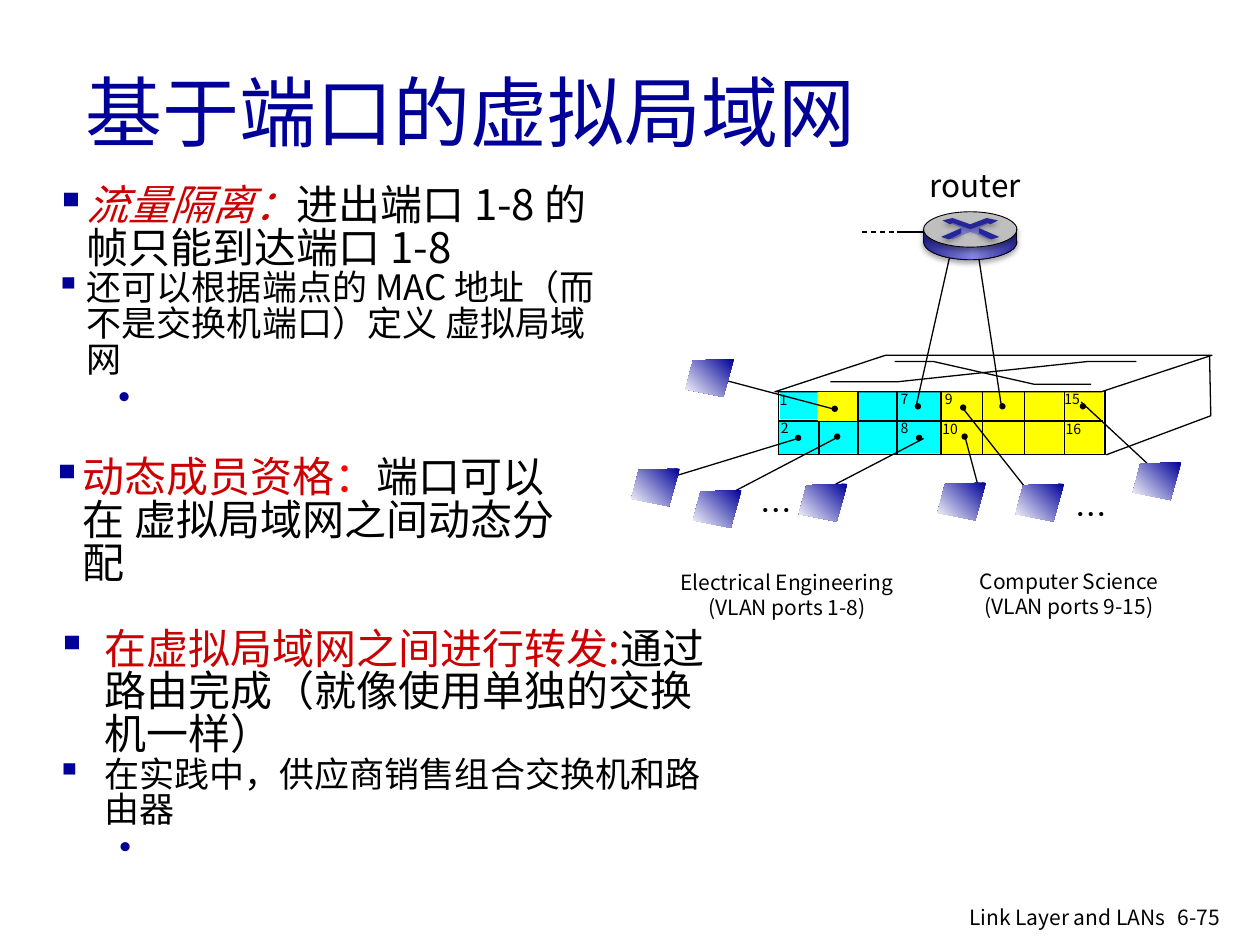
from dataclasses import dataclass

import pptx
import pptx.dml.color
import pptx.enum.dml
import pptx.enum.shapes
import pptx.enum.text
import pptx.oxml.ns
import pptx.util
from lxml import etree

Pt = pptx.util.Pt
qn = pptx.oxml.ns.qn
SHAPE = pptx.enum.shapes.MSO_SHAPE
ALIGN = pptx.enum.text.PP_ALIGN
ANCHOR = pptx.enum.text.MSO_ANCHOR
FONT = "Noto Sans CJK SC"
BLACK, NAVY, RED, CYAN, YELLOW = "000000", "000099", "CC0000", "00FFFF", "FFFF00"
METAL = [(0, "262699"), (53, "8585E0"), (100, "262699")]
Point = tuple[float, float]


@dataclass
class Span:
    text: str
    size: float
    color: str = BLACK
    italic: bool = False


@dataclass
class Bullet:
    spans: list[Span]
    mark: str = "▪"
    margin: float = 18
    hanging: float = 18
    level: int = 0


@dataclass
class Label:
    text: str
    left: float
    top: float
    width: float
    height: float
    size: float
    color: str = BLACK
    align: ALIGN = ALIGN.LEFT
    wrap: bool = False
    anchor: ANCHOR = ANCHOR.TOP


def rgb(value: str):
    return pptx.dml.color.RGBColor.from_string(value)


def style_font(font, size: float, color: str, italic: bool = False) -> None:
    font.size, font.name, font.italic = Pt(size), FONT, italic
    font.color.rgb = rgb(color)
    etree.SubElement(font._element, qn("a:ea"), typeface=FONT)


def set_gradient(shape, stops, angle: float) -> None:
    shape.fill.gradient()
    shape.fill.gradient_angle = angle
    stop_list = shape._element.spPr.find(qn("a:gradFill")).find(qn("a:gsLst"))
    for stop in list(stop_list):
        stop_list.remove(stop)
    for position, color in stops:
        stop = etree.SubElement(stop_list, qn("a:gs"), pos=str(position * 1000))
        etree.SubElement(stop, qn("a:srgbClr"), val=color)


def add_shadow(effects) -> None:
    shadow = etree.SubElement(effects, qn("a:outerShdw"), blurRad=str(Pt(3.1)),
                              dist=str(Pt(1.8)), dir="5400000", rotWithShape="0")
    color = etree.SubElement(shadow, qn("a:srgbClr"), val=BLACK)
    etree.SubElement(color, qn("a:alpha"), val="35000")


def finish(shape, fill=None, line: float = 0, shadow: bool = False, angle: float = 0):
    shape.shadow.inherit = False
    if isinstance(fill, list):
        set_gradient(shape, fill, angle)
    elif fill:
        shape.fill.solid()
        shape.fill.fore_color.rgb = rgb(fill)
    else:
        shape.fill.background()
    if line:
        shape.line.color.rgb = rgb(BLACK)
        shape.line.width = Pt(line)
    else:
        shape.line.fill.background()
    if shadow:
        add_shadow(shape._element.spPr.find(qn("a:effectLst")))
    return shape


def add_preset(page, kind, left: float, top: float, width: float, height: float, **look):
    return finish(page.shapes.add_shape(kind, Pt(left), Pt(top), Pt(width), Pt(height)), **look)


def add_outline(page, points: list[Point], close: bool = True, **look):
    corners = [(Pt(x), Pt(y)) for x, y in points]
    builder = page.shapes.build_freeform(*corners[0], scale=1.0)
    builder.add_line_segments(corners[1:], close=close)
    return finish(builder.convert_to_shape(), **look)


def add_line(page, start: Point, end: Point, weight: float = 0.75,
             dashed: bool = False, shadow: bool = False) -> None:
    line = page.shapes.add_connector(pptx.enum.shapes.MSO_CONNECTOR.STRAIGHT,
                                     *(Pt(value) for value in start + end))
    line.line.color.rgb = rgb(BLACK)
    line.line.width = Pt(weight)
    if dashed:
        line.line.dash_style = pptx.enum.dml.MSO_LINE.DASH
    effects = etree.SubElement(line._element.spPr, qn("a:effectLst"))
    if shadow:
        add_shadow(effects)


def add_label(page, label: Label) -> None:
    box = page.shapes.add_textbox(Pt(label.left), Pt(label.top), Pt(label.width), Pt(label.height))
    frame = box.text_frame
    frame.text = label.text
    frame.word_wrap = label.wrap
    frame.vertical_anchor = label.anchor
    if not label.wrap:
        frame.auto_size = pptx.enum.text.MSO_AUTO_SIZE.SHAPE_TO_FIT_TEXT
    for para in frame.paragraphs:
        para.alignment = label.align
        for run in para.runs:
            style_font(run.font, label.size, label.color)


def add_bullets(page, left: float, top: float, width: float, height: float,
                bullets: list[Bullet]) -> None:
    frame = page.shapes.add_textbox(Pt(left), Pt(top), Pt(width), Pt(height)).text_frame
    frame.word_wrap = True
    for index, bullet in enumerate(bullets):
        para = frame.add_paragraph() if index else frame.paragraphs[0]
        props = para._p.get_or_add_pPr()
        props.set("marL", str(Pt(bullet.margin)))
        props.set("indent", str(Pt(-bullet.hanging)))
        color = etree.SubElement(props, qn("a:buClr"))
        etree.SubElement(color, qn("a:srgbClr"), val=NAVY)
        etree.SubElement(props, qn("a:buChar"), char=bullet.mark)
        para.level = bullet.level
        para.line_spacing = 0.85
        if index:
            para.space_before = Pt(4)
        for span in bullet.spans:
            run = para.add_run()
            run.text = span.text
            style_font(run.font, span.size, span.color, span.italic)


def sub_bullet(text: str) -> Bullet:
    return Bullet([Span(text + "\n", 20)], "•", 53.3, 17.3, 1)


def add_computer(page, left: float, top: float) -> None:
    corners = [(27.7, 0), (4.3, 0.8), (0, 17.3), (21.6, 21.6)]
    add_outline(page, [(left + x, top + y) for x, y in corners],
                fill=[(0, NAVY), (100, "FFFFFF")], angle=225)


def add_switch(page) -> None:
    for color, *area in [(YELLOW, 608.4, 241.2, 22.3, 18), (CYAN, 445.7, 223.9, 21.6, 15.8),
                         (CYAN, 445, 240.5, 23, 19.4), (YELLOW, 607.7, 223.2, 23, 16.6),
                         (YELLOW, 537.8, 223.9, 69.8, 36), (CYAN, 467.3, 223.9, 70.6, 35.3)]:
        add_preset(page, SHAPE.RECTANGLE, *area, fill=color)
    add_preset(page, SHAPE.RECTANGLE, 445, 223.2, 186.5, 36.7, line=0.75)
    add_line(page, (445, 240.5), (630, 240.5))
    lid = add_preset(page, SHAPE.PARALLELOGRAM, 442.8, 203, 249.8, 20.9, fill="FFFFFF", line=0.75)
    lid.adjustments[0] = 3.03
    for points in [[(632.2, 259.9), (691.9, 237.6), (691.2, 203)],
                   [(474.5, 218.2), (512.6, 218.2), (621.4, 206.6), (649.4, 206.6)],
                   [(511.2, 206.6), (533.5, 206.6), (591.1, 219.6), (623.5, 219.6)]]:
        add_outline(page, points, close=False, line=0.75)
    for x in (445, 468, 490.3, 512.6, 537.8, 561.6, 585.4, 608.4):
        add_line(page, (x, 223.6), (x, 260.3))
    add_preset(page, SHAPE.RECTANGLE, 467.3, 223.9, 22.3, 16.6, fill=YELLOW)
    for number, left, top in [(1, 438.5, 220.3), (2, 439.2, 236.2), (7, 507.6, 219.6),
                              (8, 507.6, 236.2), (9, 532.8, 219.6), (10, 531.4, 236.9),
                              (15, 601.2, 219.6), (16, 601.9, 236.9)]:
        add_label(page, Label(str(number), left, top, 24.5 if number > 9 else 19.4, 17.3, 8))


def add_cabling(page) -> None:
    for start, end in [((455.8, 250.6), (385.2, 272.2)), ((478.8, 249.8), (415.4, 283)),
                       ((527.8, 250.6), (472.3, 279.4)), ((551.5, 249.8), (559.4, 279.4)),
                       ((550.8, 234), (588.2, 281.5)), ((617.8, 229.7), (658.8, 267.8)),
                       ((477.4, 234), (414.7, 217.4)), ((523.4, 232.6), (543.6, 142.6)),
                       ((572.4, 233.3), (558.7, 143.3)), ((512.6, 132.5), (532.8, 132.5))]:
        add_line(page, start, end)
    add_line(page, (492.5, 132.5), (511.9, 132.5), dashed=True)
    for left, top in [(454.3, 248.4), (476.6, 247.7), (523.4, 248.4), (549.4, 247.7), (548.6, 231.1),
                      (617, 230.4), (522.7, 230.4), (571, 230.4), (475.2, 231.8)]:
        add_preset(page, SHAPE.OVAL, left, top, 3.6, 3.6, fill=BLACK)
    for left, top in [(360.7, 267.8), (396, 280.1), (456.5, 276.5), (535.7, 275.8),
                      (580.3, 276.5), (647.3, 264.2), (391.7, 205.2)]:
        add_computer(page, left, top)


def add_router(page) -> None:
    add_preset(page, SHAPE.OVAL, 527.8, 128.2, 53.3, 20.2, fill=METAL, line=0.5, shadow=True)
    add_preset(page, SHAPE.RECTANGLE, 527.8, 131, 53.6, 7.2, fill=METAL)
    add_preset(page, SHAPE.OVAL, 527.8, 121, 53.3, 20.2, fill="BFBFBF", line=0.5, shadow=True)
    add_outline(page, [(554.4, 132.5), (544.3, 136.8), (541.4, 136.1), (549.4, 133.2), (549.4, 130.3),
                       (542.9, 127.4), (545, 127.4), (554.4, 131), (563.8, 126.7), (565.9, 127.4),
                       (559.4, 130.3), (560.9, 133.9), (567.4, 136.1), (565.2, 136.8)], fill="8585E0")
    for points in [[(538.6, 126), (544.3, 124.6), (554.4, 128.2), (563.8, 124.6), (570.2, 126),
                    (565.9, 128.2), (564.5, 127.4), (554.4, 131), (544.3, 127.4), (542.9, 128.2)],
                   [(559.4, 130.3), (571, 135.4), (566.6, 136.8), (559.4, 133.2)],
                   [(549.4, 130.3), (549.4, 133.2), (542.2, 136.8), (537.8, 135.4)]]:
        add_outline(page, points, fill="262699", shadow=True)
    for x in (527.8, 581):
        add_line(page, (x, 138.6), (x, 131), 0.5, shadow=True)


def main() -> None:
    deck = pptx.Presentation()
    deck.slide_width, deck.slide_height = Pt(720), Pt(540)
    page = deck.slides.add_slide(deck.slide_layouts[6])
    add_label(page, Label("基于端口的虚拟局域网", 41.8, 18, 612, 90, 44, NAVY,
                          wrap=True, anchor=ANCHOR.MIDDLE))
    add_switch(page)
    add_cabling(page)
    add_router(page)
    add_bullets(page, 24.5, 103, 334.8, 139, [
        Bullet([Span("流量隔离：", 24, RED, True), Span("进出端口 1-8 的帧只能到达端口 1-8", 24)]),
        sub_bullet("还可以根据端点的 MAC 地址（而不是交换机端口）定义 虚拟局域网")])
    add_bullets(page, 22.3, 258.5, 319.7, 126.7, [
        Bullet([Span("动态成员资格", 24, RED), Span("：", 24, "FF0000"),
                Span("端口可以在 虚拟局域网之间动态分配", 24)])])
    add_bullets(page, 25.2, 356.4, 393.8, 126.7, [
        Bullet([Span("在虚拟局域网之间进行转发:", 24, RED),
                Span("通过路由完成（就像使用单独的交换机一样）", 24)], margin=27.4, hanging=27.4),
        sub_bullet("在实践中，供应商销售组合交换机和路由器")])
    for label in [Label("router", 524.2, 91.4, 67.7, 28.8, 18),
                  Label("…", 427.7, 277.2, 29.5, 28.8, 18),
                  Label("…", 607.7, 279.4, 29.5, 28.8, 18),
                  Label("Electrical Engineering\n(VLAN ports 1-8)", 380.2, 321.8, 139, 36, 12,
                        align=ALIGN.CENTER),
                  Label("Computer Science\n(VLAN ports 9-15)", 550.8, 321.1, 120.2, 36, 12,
                        align=ALIGN.CENTER),
                  Label("6-75", 666, 513.4, 43.2, 21.6, 12, wrap=True),
                  Label("Link Layer and LANs", 501.8, 513.4, 171.4, 18.7, 12,
                        align=ALIGN.RIGHT, wrap=True)]:
        add_label(page, label)
    deck.save("out.pptx")


if __name__ == "__main__":
    main()
